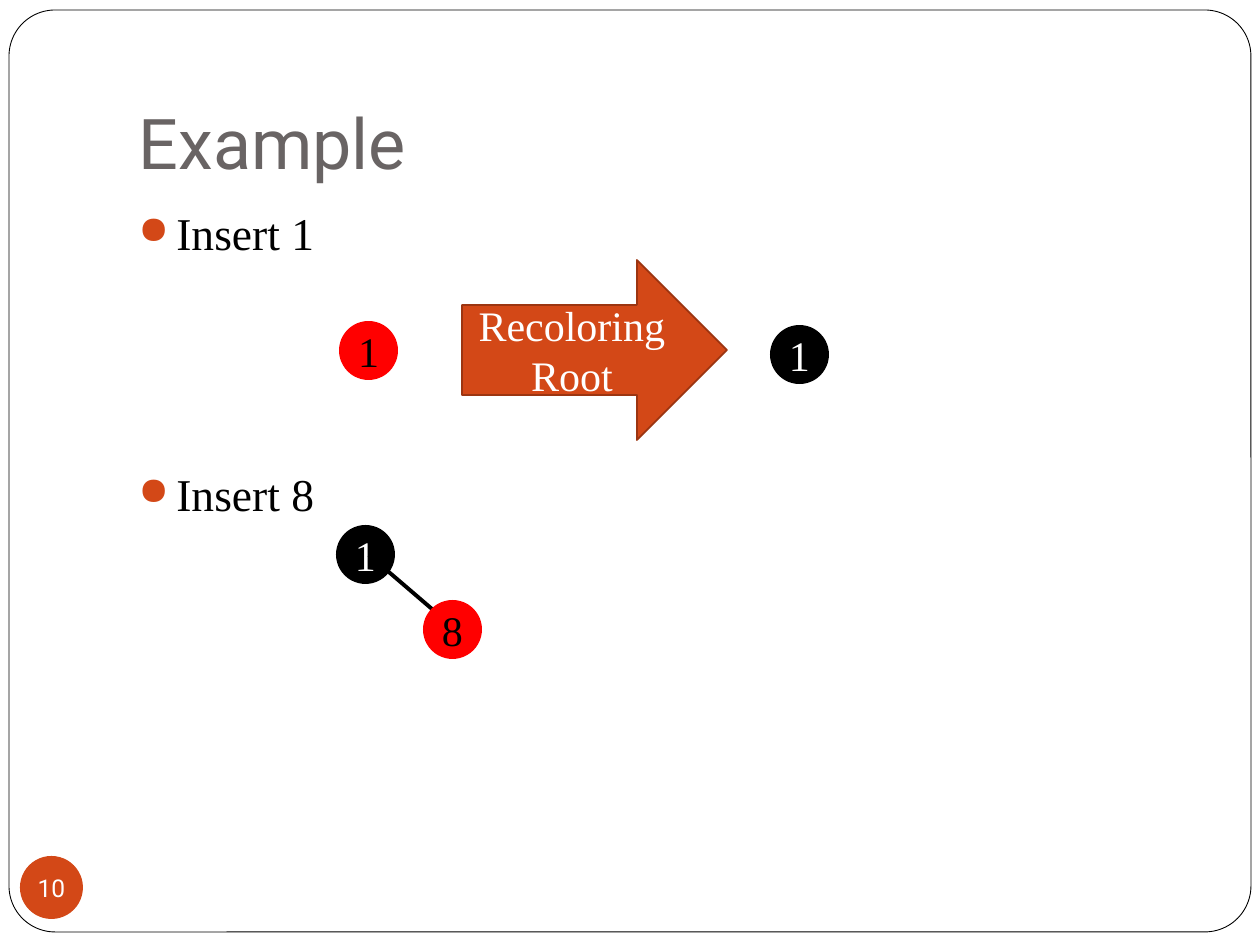
from pptx import Presentation
from pptx.dml.color import RGBColor
from pptx.enum.shapes import MSO_CONNECTOR as Link, MSO_SHAPE as Kind
from pptx.enum.text import MSO_ANCHOR as Anchor, PP_ALIGN as Align
from pptx.oxml import parse_xml
from pptx.oxml.ns import nsdecls, qn
from pptx.util import Pt

PX = 914400 / 126
WHITE = RGBColor(0xFF, 0xFF, 0xFF)
BLACK = RGBColor(0, 0, 0)
RED = RGBColor(0xFF, 0, 0)
ORANGE = RGBColor(0xD3, 0x48, 0x17)
RUST = RGBColor(0x9C, 0x35, 0x11)
GRAY = RGBColor(0x69, 0x64, 0x64)
SANS, SERIF = "Roboto", "Times New Roman"
NODE = 59


def px(*nums):
    return [round(n * PX) for n in nums]


def style(par, size, face, color, **form):
    par.font.size, par.font.name = Pt(size), face
    par.font.color.rgb = color
    for key, val in form.items():
        setattr(par, key, val)


def inset(frame, left, top, right, bottom):
    sides = dict(left=left, top=top, right=right, bottom=bottom)
    for side, val in sides.items():
        setattr(frame, f"margin_{side}", px(val)[0])


def shape(slide, kind, box, fill, edge=None, width=1):
    item = slide.shapes.add_shape(kind, *px(*box))
    item.shadow.inherit = False
    item.fill.solid()
    item.fill.fore_color.rgb = fill
    if edge is None:
        item.line.fill.background()
    else:
        item.line.color.rgb = edge
        item.line.width = Pt(width)
    return item


def label(item, text, size, face, color, wrap=False):
    frame = item.text_frame
    frame.text = text
    frame.word_wrap = wrap
    frame.vertical_anchor = Anchor.MIDDLE
    if not wrap:
        inset(frame, 0, 0, 0, 0)
    style(frame.paragraphs[0], size, face, color, alignment=Align.CENTER)


def node(slide, left, top, text, fill, ink):
    item = shape(slide, Kind.OVAL, (left, top, NODE, NODE), fill)
    label(item, text, 24, SERIF, ink)


def edge(slide, *ends):
    """Draw a plain line between two tree nodes."""
    line = slide.shapes.add_connector(Link.STRAIGHT, *px(*ends))
    line.line.color.rgb = BLACK
    line.line.width = Pt(2.25)
    props = line._element.find(qn("p:spPr"))
    props.append(parse_xml(f"<a:effectLst {nsdecls('a')}/>"))


def textbox(slide, box):
    frame = slide.shapes.add_textbox(*px(*box)).text_frame
    frame.word_wrap = True
    return frame


def bullet(par):
    props = par._p.get_or_add_pPr()
    indent = px(38)[0]
    props.set("marL", str(indent))
    props.set("indent", str(-indent))
    ns = nsdecls("a")
    for xml in (
        f'<a:buClr {ns}><a:srgbClr val="{ORANGE}"/></a:buClr>',
        f'<a:buSzPct {ns} val="85000"/>',
        f'<a:buChar {ns} char="●"/>',
    ):
        props.append(parse_xml(xml))


def title(slide, text):
    frame = textbox(slide, (126, 38, 1071, 158))
    inset(frame, 13, 6, 13, 13)
    frame.vertical_anchor = Anchor.BOTTOM
    frame.text = text
    style(frame.paragraphs[0], 40, SANS, GRAY)


def steps(slide, items):
    """List the insert steps, each with its gap above in points."""
    frame = textbox(slide, (126, 199, 1071, 630))
    frame.text = "\n".join(text for text, gap in items)
    for par, (text, gap) in zip(frame.paragraphs, items):
        style(par, 26, SERIF, BLACK, space_before=Pt(gap))
        bullet(par)


def main():
    deck = Presentation()
    deck.slide_width, deck.slide_height = px(1260, 945)
    slide = deck.slides.add_slide(deck.slide_layouts[6])

    border = shape(slide, Kind.ROUNDED_RECTANGLE, (9, 10, 1242, 922),
                   WHITE, BLACK, 0.5)
    border.adjustments[0] = 0.05
    title(slide, "Example")
    badge = shape(slide, Kind.OVAL, (20, 856, 63, 63), ORANGE)
    label(badge, "10", 14, SANS, WHITE)
    steps(slide, [("Insert 1", 5.8), ("Insert 8", 118)])

    node(slide, 339, 321, "1", RED, BLACK)
    node(slide, 770, 325, "1", BLACK, WHITE)
    arrow = shape(slide, Kind.RIGHT_ARROW, (462, 260, 265, 180), ORANGE, RUST)
    label(arrow, "Recoloring\vRoot", 24, SERIF, WHITE, wrap=True)

    node(slide, 336, 525, "1", BLACK, WHITE)
    edge(slide, 369, 555, 432, 609)
    node(slide, 423, 600, "8", RED, BLACK)
    deck.save("out.pptx")


if __name__ == "__main__":
    main()
